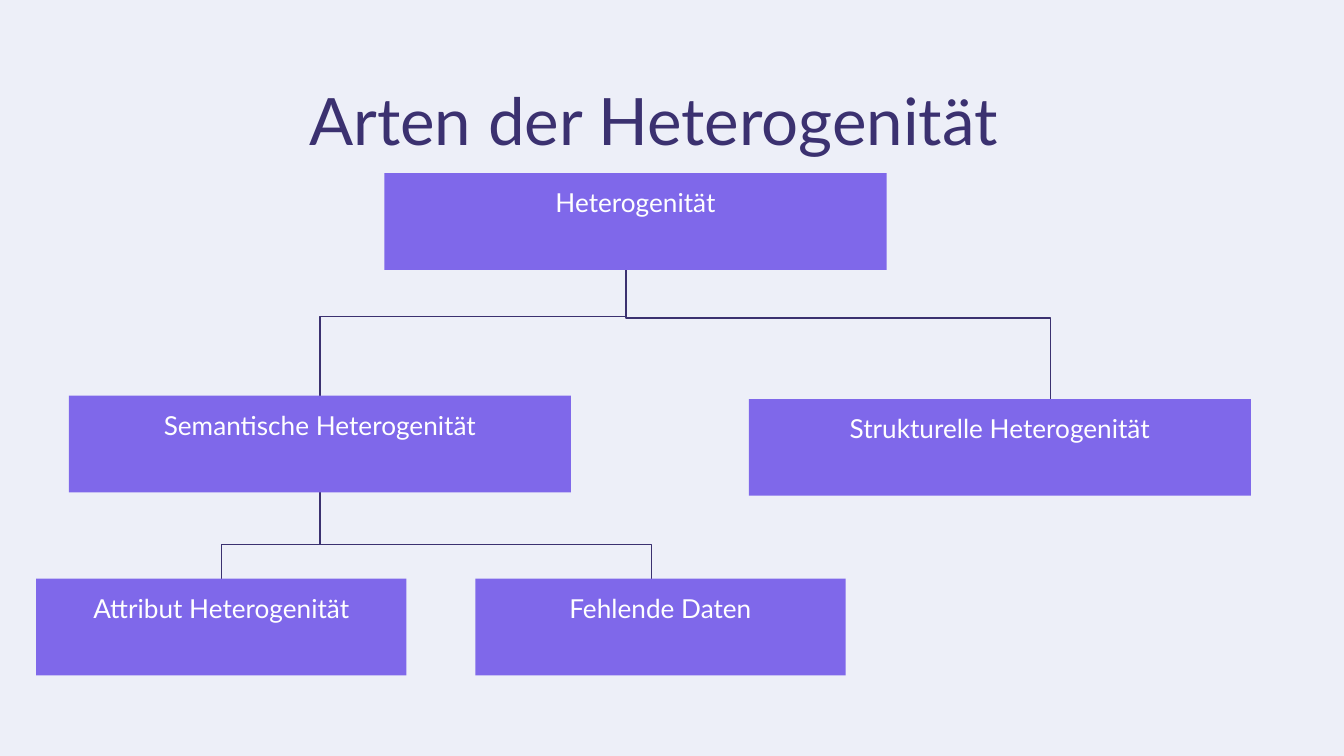
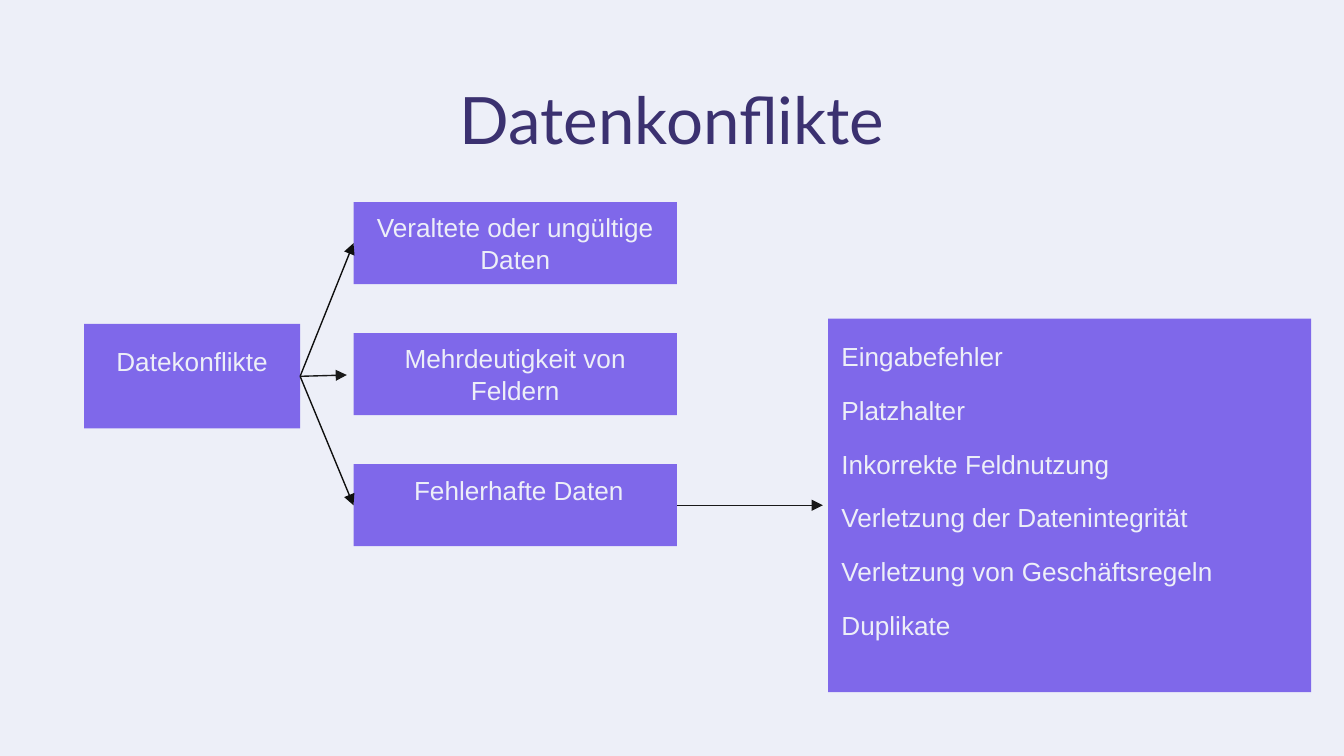
from lxml import etree
from pptx import Presentation
from pptx.dml.color import RGBColor
from pptx.enum import shapes, text
from pptx.oxml import ns
from pptx.util import Pt

BACKGROUND = "EDEFF8"
VIOLET = "7F68EA"
NAVY = "3B3170"
WHITE = "FFFFFF"
HEADING_FONT = "Lato"
BODY_FONT = "Arial"
INSET = 7.2
LINE = 16  # height of one line of body text


def color(hex_code):
    return RGBColor.from_string(hex_code)


def add_slide(deck):
    slide = deck.slides.add_slide(deck.slide_layouts[6])
    slide.background.fill.solid()
    slide.background.fill.fore_color.rgb = color(BACKGROUND)
    return slide


def write(frame, lines, font, size, hex_code, align, anchor, insets, gap=0):
    """Fill a text frame; insets are left, top, right, bottom."""
    frame.word_wrap = True
    frame.vertical_anchor = anchor
    frame.margin_left, frame.margin_top, frame.margin_right, frame.margin_bottom = map(Pt, insets)
    for index, line in enumerate(lines):
        paragraph = frame.add_paragraph() if index else frame.paragraphs[0]
        paragraph.alignment = align
        paragraph.space_before = Pt(gap if index else 0)
        run = paragraph.add_run()
        run.text = line
        run.font.name = font
        run.font.size = Pt(size)
        run.font.color.rgb = color(hex_code)


def add_title(slide, wording, left, top, right_inset=INSET):
    title = slide.shapes.add_textbox(Pt(left), Pt(top), Pt(607), Pt(45.4))
    write(title.text_frame, [wording], HEADING_FONT, 35, NAVY, text.PP_ALIGN.CENTER,
          text.MSO_ANCHOR.TOP, (INSET, INSET, right_inset, INSET))


def add_box(slide, left, top, width, height):
    box = slide.shapes.add_shape(shapes.MSO_SHAPE.RECTANGLE, Pt(left), Pt(top), Pt(width), Pt(height))
    box.shadow.inherit = False
    box.fill.solid()
    box.fill.fore_color.rgb = color(VIOLET)
    box.line.fill.background()
    return box.text_frame


def add_tree_node(slide, label, left, top, width):
    write(add_box(slide, left, top, width, 51.8), [label], HEADING_FONT, 14, WHITE,
          text.PP_ALIGN.CENTER, text.MSO_ANCHOR.TOP, (INSET,) * 4)


def add_conflict_box(slide, lines, left, top, width, height, align=text.PP_ALIGN.CENTER,
                     raised=True, indent=INSET):
    """Box with centred text, raised by half a line if asked."""
    bottom = 4 + LINE if raised else 4
    write(add_box(slide, left, top, width, height), lines, BODY_FONT, 14, BACKGROUND,
          align, text.MSO_ANCHOR.MIDDLE, (indent, 4, INSET, bottom), gap=12)


def add_line(slide, kind, start, end, hex_code):
    line = slide.shapes.add_connector(kind, *map(Pt, start + end))
    line.line.color.rgb = color(hex_code)
    line.line.width = Pt(0.75)
    etree.SubElement(line._element.spPr, ns.qn("a:effectLst"))
    return line


def add_branch(slide, start, end):
    """Elbow that leaves and arrives vertically: a horizontal elbow, turned."""
    (x1, y1), (x2, y2) = start, end
    center_x, center_y = (x1 + x2) / 2, (y1 + y2) / 2
    half_width, half_height = abs(x2 - x1) / 2, (y2 - y1) / 2
    side = 1 if x2 > x1 else -1
    branch = add_line(slide, shapes.MSO_CONNECTOR.ELBOW,
                      (center_x + side * half_height, center_y - half_width),
                      (center_x - side * half_height, center_y + half_width), NAVY)
    degrees = 270 if side > 0 else 90
    branch._element.spPr.find(ns.qn("a:xfrm")).set("rot", str(degrees * 60000))


def add_arrow(slide, start, end, hex_code):
    arrow = add_line(slide, shapes.MSO_CONNECTOR.STRAIGHT, start, end, hex_code)
    etree.SubElement(arrow.line._get_or_add_ln(), ns.qn("a:tailEnd"), type="triangle")


def build_heterogeneity(deck):
    slide = add_slide(deck)
    add_title(slide, "Arten der Heterogenität", 56.2, 36, right_inset=26)
    root, semantic = (335.5, 127), (171.4, 263.5)
    add_branch(slide, root, (563, 213.8))
    add_branch(slide, root, (171.4, 212.5))
    for child_x in (118.7, 349):
        add_branch(slide, semantic, (child_x, 320))
    for label, left, top, width in (
        ("Heterogenität", 206, 92.8, 269),
        ("Semantische Heterogenität", 36.9, 212, 269),
        ("Strukturelle Heterogenität", 401.2, 213.8, 269),
        ("Attribut Heterogenität", 19.4, 310, 198.4),
        ("Fehlende Daten", 254.6, 310, 198.4),
    ):
        add_tree_node(slide, label, left, top, width)


def build_conflicts(deck):
    slide = add_slide(deck)
    add_title(slide, "Datenkonflikte", 56.6, 35.3)
    add_conflict_box(slide, ["Datekonflikte"], 45, 173.6, 115.8, 56)

    column, width, height, pitch = 189.4, 173.3, 43.9, 70.2
    for row, (label, raised, indent) in enumerate((
        ("Veraltete oder ungültige Daten", False, INSET),
        ("Mehrdeutigkeit von Feldern", False, INSET),
        ("Fehlerhafte Daten", True, 11),
    )):
        add_conflict_box(slide, [label], column, 108.3 + row * pitch, width, height,
                         raised=raised, indent=indent)

    errors = ["Eingabefehler", "Platzhalter", "Inkorrekte Feldnutzung",
              "Verletzung der Datenintegrität", "Verletzung von Geschäftsregeln", "Duplikate"]
    add_conflict_box(slide, errors, 443.7, 170.8, 258.7, 200, align=text.PP_ALIGN.LEFT)

    source, faulty_y = (160.8, 201.6), 270.7
    add_arrow(slide, source, (185.8, 200.9), "191919")
    for target_y in (130.3, faulty_y):
        add_arrow(slide, source, (column, target_y), "0F0F0F")
    add_arrow(slide, (column + width, faulty_y), (440.8, faulty_y), "191919")


def main():
    deck = Presentation()
    deck.slide_width, deck.slide_height = Pt(720), Pt(405)
    build_heterogeneity(deck)
    build_conflicts(deck)
    deck.save("out.pptx")


if __name__ == "__main__":
    main()
